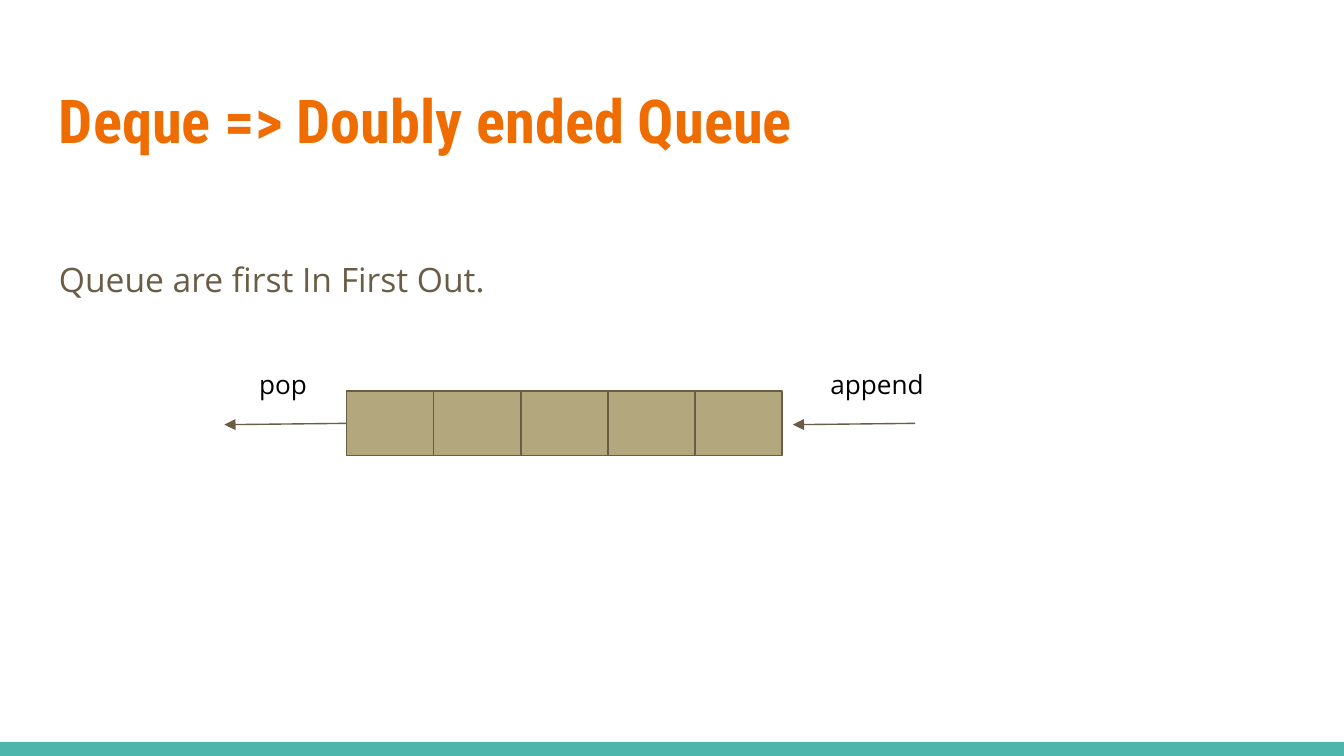
from dataclasses import dataclass

from lxml import etree
from pptx import Presentation
from pptx.dml.color import RGBColor
from pptx.enum.shapes import MSO_CONNECTOR, MSO_SHAPE
from pptx.enum.text import MSO_ANCHOR
from pptx.oxml.ns import qn
from pptx.util import Inches, Pt

RECT = MSO_SHAPE.RECTANGLE
STRAIGHT = MSO_CONNECTOR.STRAIGHT
TOP, BOTTOM = MSO_ANCHOR.TOP, MSO_ANCHOR.BOTTOM


@dataclass(frozen=True)
class Theme:
    teal: RGBColor = RGBColor.from_string("4DB6AC")
    orange: RGBColor = RGBColor.from_string("EF6C00")
    brown: RGBColor = RGBColor.from_string("695D46")
    khaki: RGBColor = RGBColor.from_string("B3A77D")
    black: RGBColor = RGBColor.from_string("000000")
    heading_font: str = "Roboto Condensed"
    body_font: str = "Open Sans"
    title_size: Pt = Pt(32.4)
    body_size: Pt = Pt(18)
    label_size: Pt = Pt(14)
    line_width: Pt = Pt(0.75)


theme = Theme()
prs = Presentation()
prs.slide_width, prs.slide_height = Inches(10), Inches(10 * 9 / 16)
s = prs.slides.add_slide(prs.slide_layouts[6])


def add_text(text, x, y, w, h, font, size, color, anchor=TOP):
    tf = s.shapes.add_textbox(Inches(x), Inches(y), Inches(w), Inches(h)).text_frame
    tf.word_wrap = True
    tf.vertical_anchor = anchor
    tf.margin_left = tf.margin_top = tf.margin_bottom = Inches(0.1)
    tf.margin_right = 0
    p = tf.paragraphs[0]
    p.text = text
    p.font.name, p.font.size, p.font.color.rgb = font, size, color
    return p


def add_rect(x, y, w, h, fill):
    sp = s.shapes.add_shape(RECT, Inches(x), Inches(y), Inches(w), Inches(h))
    sp.shadow.inherit = False
    sp.fill.solid()
    sp.fill.fore_color.rgb = fill
    sp.line.fill.background()
    return sp


# Footer bar
add_rect(0, 5.52, 10, 0.11, theme.teal)

# Title and body
p = add_text("Deque => Doubly ended Queue", 0.34, 0.49, 9.32, 0.77,
             theme.heading_font, theme.title_size, theme.orange, BOTTOM)
p.font.bold = True
p = add_text("Queue are first In First Out.", 0.34, 1.78, 9.32, 0.59,
             theme.body_font, theme.body_size, theme.brown)
p.line_spacing = 1.15
p.space_after = Pt(12)

# Queue cells
cells, queue_x, queue_w = 5, 2.58, 3.24
cell_w = queue_w / cells
for i in range(cells):
    sp = add_rect(queue_x + i * cell_w, 2.91, cell_w, 0.48, theme.khaki)
    sp.line.color.rgb = theme.brown
    sp.line.width = theme.line_width

# Arrows and labels: items leave at the left and enter at the right
for label, label_x, label_w, start_x in (("pop", 1.83, 0.58, queue_x),
                                         ("append", 6.08, 0.91, 6.81)):
    arrow = s.shapes.add_connector(STRAIGHT, Inches(start_x), Inches(3.15),
                                   Inches(start_x - 0.91), Inches(3.16))
    arrow.line.color.rgb = theme.brown
    arrow.line.width = theme.line_width
    etree.SubElement(arrow.line._get_or_add_ln(), qn("a:tailEnd"), type="triangle")
    etree.SubElement(arrow._element.spPr, qn("a:effectLst"))
    add_text(label, label_x, 2.64, label_w, 0.44,
             theme.body_font, theme.label_size, theme.black)

prs.save("out.pptx")
